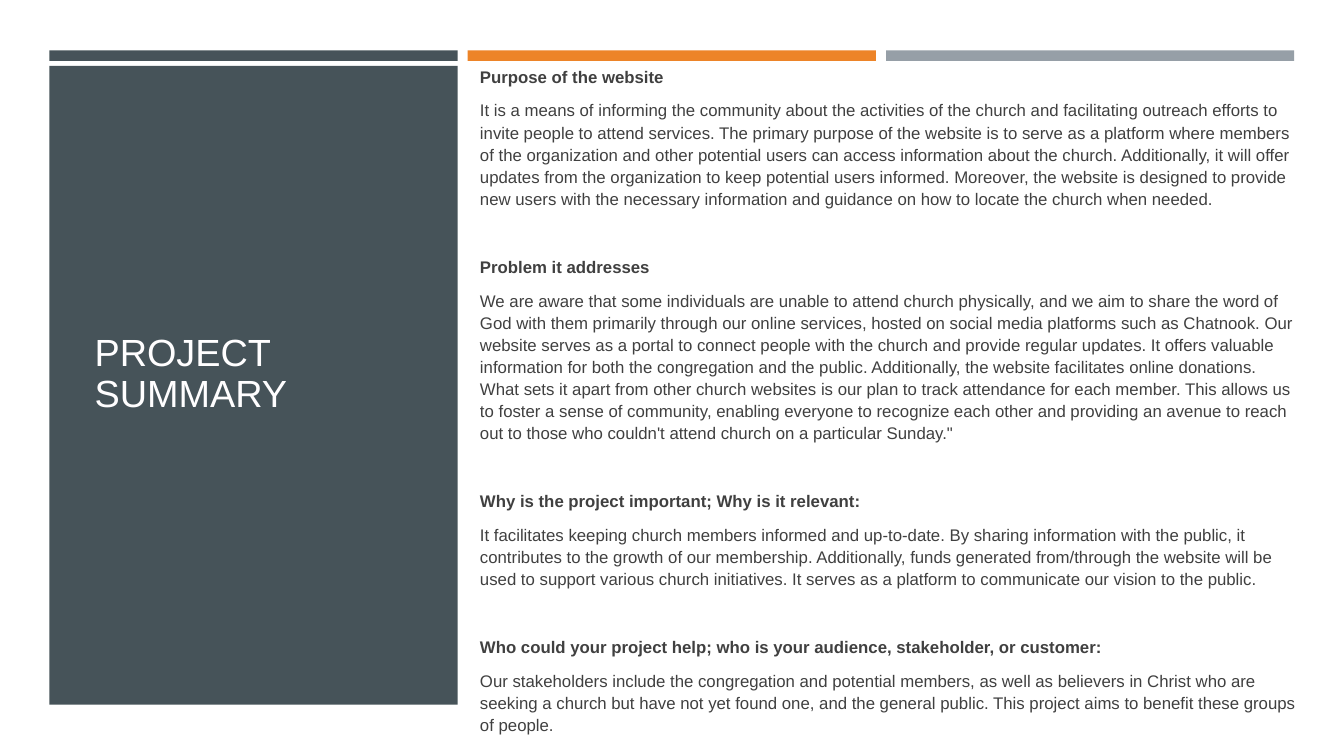
from pptx import Presentation
from pptx.dml.color import RGBColor
from pptx.enum.shapes import MSO_SHAPE
from pptx.enum.text import MSO_ANCHOR
from pptx.util import Pt

RECTANGLE = MSO_SHAPE.RECTANGLE
MIDDLE = MSO_ANCHOR.MIDDLE

SLATE, ORANGE, GREY = "465359", "ED8428", "969FA7"
TITLE_COLOR, BODY_COLOR = "FFFEFF", "404040"
LEFT, COLUMN_WIDTH, COLUMN_STEP = 35.3, 291.6, 298.8

SECTIONS = [
    ("Purpose of the website",
     "It is a means of informing the community about the activities of the church and "
     "facilitating outreach efforts to invite people to attend services. The primary purpose "
     "of the website is to serve as a platform where members of the organization and other "
     "potential users can access information about the church. Additionally, it will offer "
     "updates from the organization to keep potential users informed. Moreover, the website "
     "is designed to provide new users with the necessary information and guidance on how to "
     "locate the church when needed."),
    ("Problem it addresses",
     "We are aware that some individuals are unable to attend church physically, and we aim "
     "to share the word of God with them primarily through our online services, hosted on "
     "social media platforms such as Chatnook. Our website serves as a portal to connect "
     "people with the church and provide regular updates. It offers valuable information for "
     "both the congregation and the public. Additionally, the website facilitates online "
     "donations. What sets it apart from other church websites is our plan to track "
     "attendance for each member. This allows us to foster a sense of community, enabling "
     "everyone to recognize each other and providing an avenue to reach out to those who "
     "couldn't attend church on a particular Sunday.\""),
    ("Why is the project important; Why is it relevant:",
     "It facilitates keeping church members informed and up-to-date. By sharing information "
     "with the public, it contributes to the growth of our membership. Additionally, funds "
     "generated from/through the website will be used to support various church initiatives. "
     "It serves as a platform to communicate our vision to the public."),
    ("Who could your project help; who is your audience, stakeholder, or customer:",
     "Our stakeholders include the congregation and potential members, as well as believers "
     "in Christ who are seeking a church but have not yet found one, and the general public. "
     "This project aims to benefit these groups of people."),
]


def color(hex_string):
    return RGBColor.from_string(hex_string)


def add_text(box, paragraphs):
    """Place a text box holding (text, font format, paragraph format) entries."""
    frame = slide.shapes.add_textbox(*map(Pt, box)).text_frame
    frame.word_wrap = True
    frame.vertical_anchor = MIDDLE
    for number, (text, font_format, paragraph_format) in enumerate(paragraphs):
        paragraph = frame.add_paragraph() if number else frame.paragraphs[0]
        for name, value in paragraph_format.items():
            setattr(paragraph, name, value)
        run = paragraph.add_run()
        run.text = text
        hex_string, font_values = font_format
        run.font.color.rgb = color(hex_string)
        for name, value in font_values.items():
            setattr(run.font, name, value)


presentation = Presentation()
presentation.slide_width = Pt(960)
presentation.slide_height = Pt(540)
slide = presentation.slides.add_slide(presentation.slide_layouts[6])

# Three accent bars above the title panel
panels = [(LEFT + column * COLUMN_STEP, 36, 7.5, fill)
          for column, fill in enumerate((SLATE, ORANGE, GREY))]
panels.append((LEFT, 47, 456.3, SLATE))
for left, top, height, fill in panels:
    panel = slide.shapes.add_shape(RECTANGLE, Pt(left), Pt(top), Pt(COLUMN_WIDTH), Pt(height))
    panel.shadow.inherit = False
    panel.fill.solid()
    panel.fill.fore_color.rgb = color(fill)
    panel.line.fill.background()

title_font = (TITLE_COLOR, {"name": "Arial", "size": Pt(27)})
add_text((60.5, 82, 240.5, 371), [("PROJECT SUMMARY", title_font, {"line_spacing": 0.9})])

summary = []
for number, (heading, body) in enumerate(SECTIONS):
    for text, bold in ((heading, True), (body, False)):
        starts_section = bold and number > 0
        summary.append((
            text,
            (BODY_COLOR, {"name": "Arial", "size": Pt(12), "bold": bold}),
            {"line_spacing": 1.1, "space_after": Pt(6),
             "space_before": Pt(26.5 if starts_section else 2.4)},
        ))
add_text((335.8, 46.8, 600.5, 477.4), summary)

presentation.save("out.pptx")
